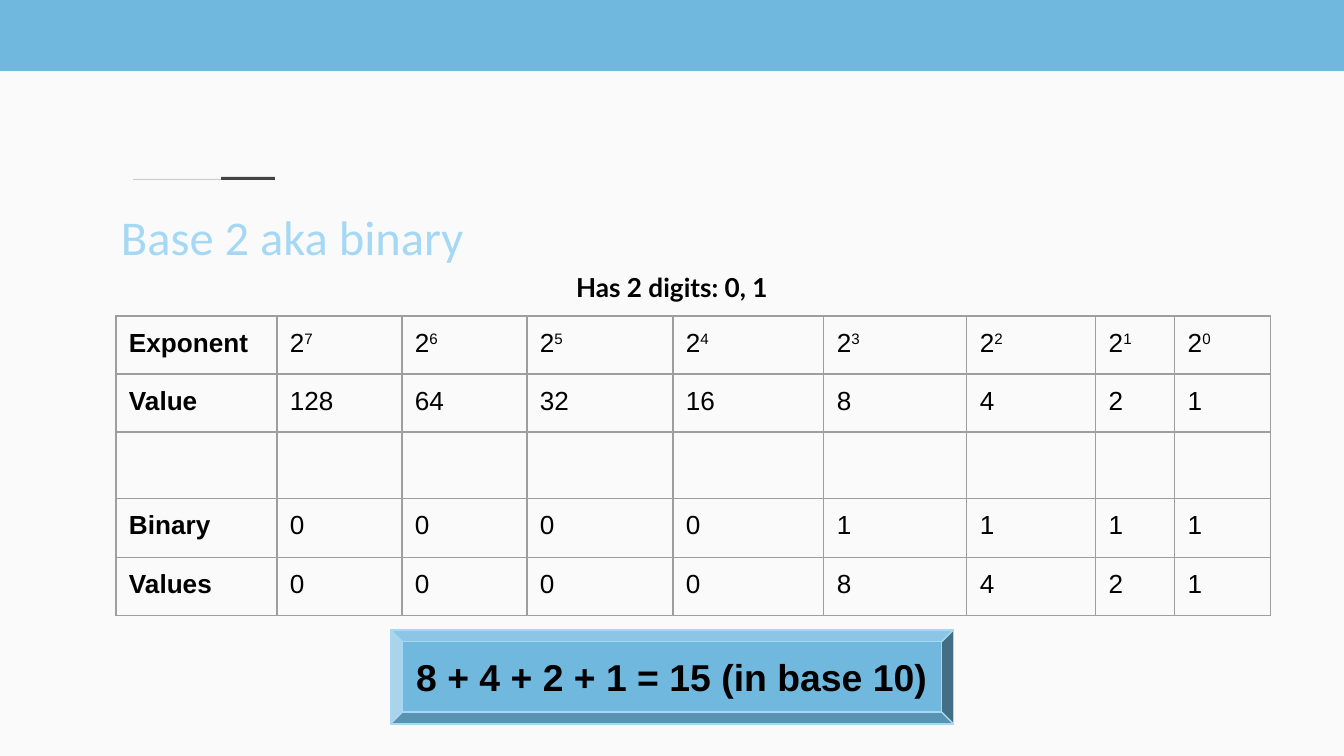
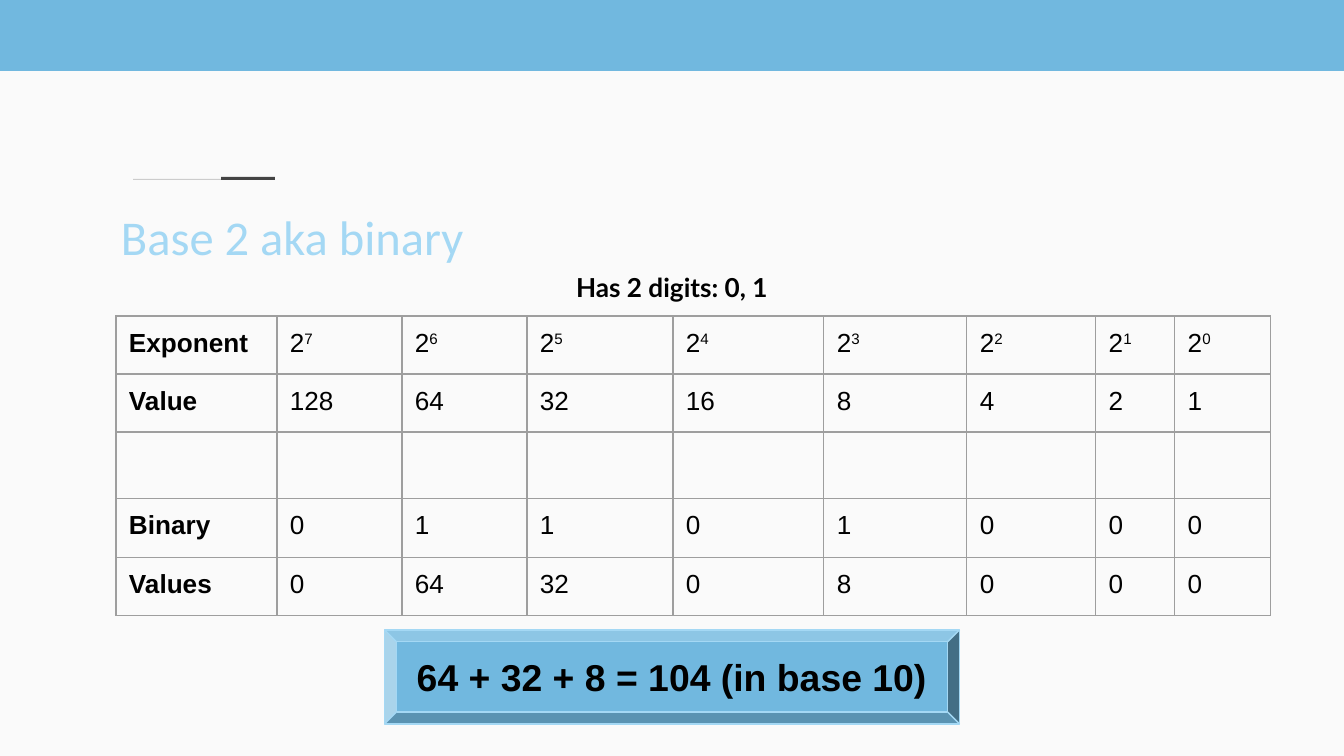
from dataclasses import dataclass

from lxml import etree
from pptx import Presentation
from pptx import util as u
from pptx.dml.color import RGBColor
from pptx.enum import shapes, text
from pptx.oxml import ns

SLIDE_W, SLIDE_H = 1344, 756
INSET = 13


@dataclass(frozen=True)
class Theme:
    paper: str = "FAFAFA"
    blue: str = "71B8DF"
    pale_blue: str = "A4D8F4"
    dark: str = "434343"
    hairline: str = "CCCCCC"
    grid: str = "9E9E9E"
    ink: str = "000000"
    title_font: str = "Calibri"
    digits_font: str = "Lato"
    body_font: str = "Arial"
    title_size: int = 26
    sum_size: int = 20
    body_size: int = 14
    line_width: float = 0.75


THEME = Theme()

BITS_PER_SLIDE = ["00001111", "01101000"]
COLUMNS = [161, 125, 125, 146, 151, 143, 129, 79, 96]
ROWS = [58, 58, 64, 59, 58]


def px(n):
    return u.Emu(round(n * 9144000 / SLIDE_W))


def rgb(color):
    return RGBColor.from_string(color)


def style_runs(paragraph, font, size, color, bold=False):
    for run in paragraph.runs:
        run.font.name = font
        run.font.size = u.Pt(size)
        run.font.bold = bold
        run.font.color.rgb = rgb(color)


def set_insets(frame):
    frame.margin_left = frame.margin_right = px(INSET)
    frame.margin_top = frame.margin_bottom = px(INSET)


def add_block(slide, box, fill, kind=shapes.MSO_SHAPE.RECTANGLE):
    block = slide.shapes.add_shape(kind, *map(px, box))
    block.shadow.inherit = False
    block.fill.solid()
    block.fill.fore_color.rgb = rgb(fill)
    block.line.fill.background()
    return block


def add_label(slide, box, words, font, size, color, bold=False,
              align=text.PP_ALIGN.LEFT):
    frame = slide.shapes.add_textbox(*map(px, box)).text_frame
    frame.word_wrap = True
    set_insets(frame)
    frame.text = words
    frame.paragraphs[0].alignment = align
    style_runs(frame.paragraphs[0], font, size, color, bold)


# Band across the top, and the two-part rule above the title
def add_decor(slide):
    slide.background.fill.solid()
    slide.background.fill.fore_color.rgb = rgb(THEME.paper)
    add_block(slide, (0, 0, SLIDE_W, 71), THEME.blue)
    left, top, light_w, dark_w = 133, 177, 88, 54
    add_block(slide, (left + light_w, top, dark_w, 3), THEME.dark)
    add_block(slide, (left, top + 2, light_w, 1), THEME.hairline)


# Table of powers of two
def outline_cell(cell):
    props = cell._tc.get_or_add_tcPr()
    for index, side in enumerate(("lnL", "lnR", "lnT", "lnB")):
        line = etree.Element(ns.qn(f"a:{side}"), w=str(u.Pt(THEME.line_width)))
        fill = etree.SubElement(line, ns.qn("a:solidFill"))
        etree.SubElement(fill, ns.qn("a:srgbClr"), val=THEME.grid)
        props.insert(index, line)


def fill_cell(cell, words, bold, exponent):
    cell.fill.background()
    outline_cell(cell)
    set_insets(cell)
    if not words:
        return
    cell.text_frame.text = words
    paragraph = cell.text_frame.paragraphs[0]
    if exponent:
        power = paragraph.add_run()
        power.text = exponent
        power._r.get_or_add_rPr().set("baseline", "30000")
    style_runs(paragraph, THEME.body_font, THEME.body_size, THEME.ink, bold)


def add_powers_table(slide, left, top, bits, place_values, bit_values):
    count = len(bits)
    rows = [
        ["Exponent"] + ["2"] * count,
        ["Value", *place_values],
        [""] * (count + 1),
        ["Binary", *bits],
        ["Values", *bit_values],
    ]
    box = (left, top, sum(COLUMNS), sum(ROWS))
    table = slide.shapes.add_table(len(ROWS), len(COLUMNS), *map(px, box)).table
    table.first_row = table.horz_banding = False
    for column, width in zip(table.columns, COLUMNS):
        column.width = px(width)
    for row, height in zip(table.rows, ROWS):
        row.height = px(height)
    for r, row in enumerate(rows):
        for c, value in enumerate(row):
            exponent = str(count - c) if r == 0 and c > 0 else ""
            fill_cell(table.cell(r, c), str(value), c == 0, exponent)


# Bevelled box with the sum, centred on the slide
def add_sum_box(slide, top, width, height, bit_values):
    terms = [value for value in bit_values if value]
    box = ((SLIDE_W - width) / 2, top, width, height)
    bevel = add_block(slide, box, THEME.blue, shapes.MSO_SHAPE.BEVEL)
    bevel.line.color.rgb = rgb(THEME.pale_blue)
    bevel.line.width = u.Pt(THEME.line_width)
    frame = bevel.text_frame
    set_insets(frame)
    frame.word_wrap = False
    frame.vertical_anchor = text.MSO_ANCHOR.MIDDLE
    frame.text = f"{' + '.join(map(str, terms))} = {sum(terms)} (in base 10)"
    frame.paragraphs[0].alignment = text.PP_ALIGN.CENTER
    style_runs(frame.paragraphs[0], THEME.body_font, THEME.sum_size, THEME.ink, True)


def add_binary_slide(deck, bits, sum_width):
    slide = deck.slides.add_slide(deck.slide_layouts[6])
    place_values = [2 ** power for power in reversed(range(len(bits)))]
    bit_values = [int(bit) * value for bit, value in zip(bits, place_values)]
    add_decor(slide)
    add_label(slide, (108, 194, 1130, 79), "Base 2 aka binary",
              THEME.title_font, THEME.title_size, THEME.pale_blue)
    add_powers_table(slide, 116, 316, bits, place_values, bit_values)
    add_sum_box(slide, 630, sum_width, 94, bit_values)
    add_label(slide, (165, 258, 1014, 59), "Has 2 digits: 0, 1",
              THEME.digits_font, THEME.body_size, THEME.ink, True,
              text.PP_ALIGN.CENTER)


def main():
    deck = Presentation()
    deck.slide_width, deck.slide_height = px(SLIDE_W), px(SLIDE_H)
    for bits, sum_width in zip(BITS_PER_SLIDE, (563, 575)):
        add_binary_slide(deck, bits, sum_width)
    deck.save("out.pptx")


if __name__ == "__main__":
    main()
